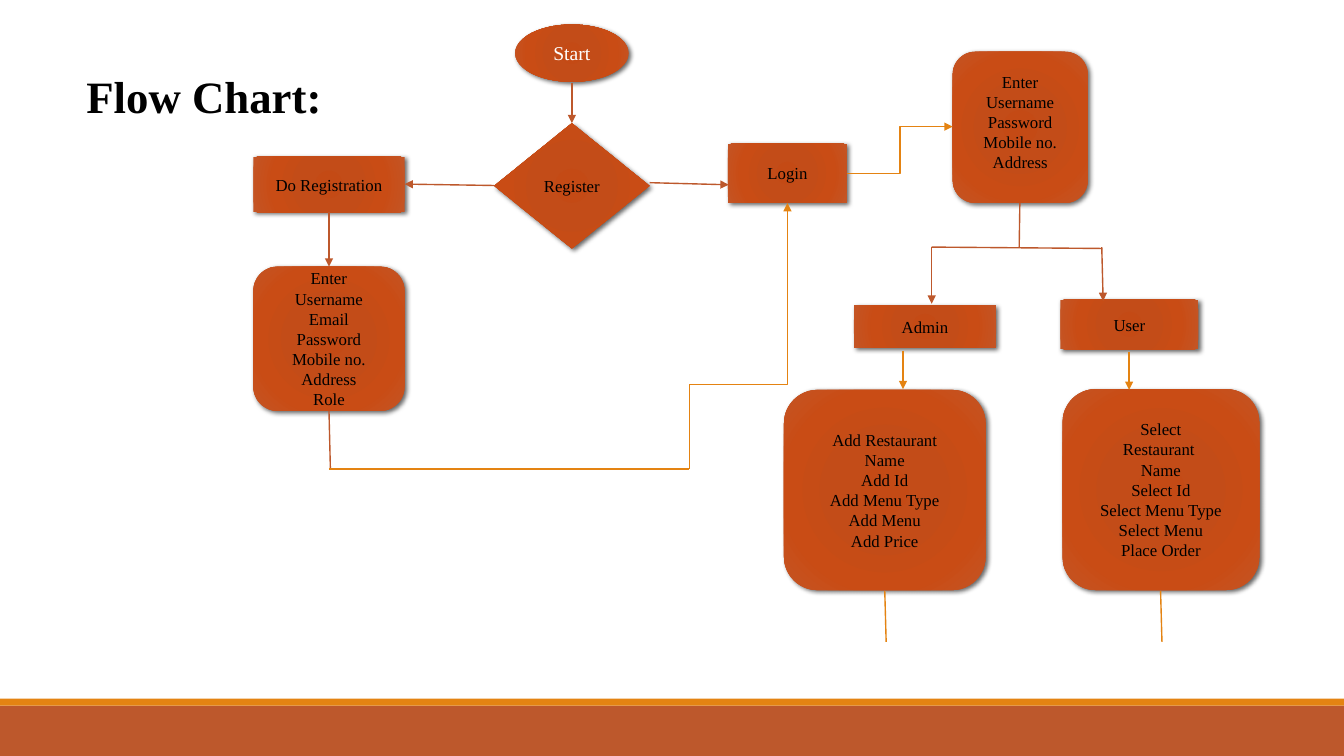
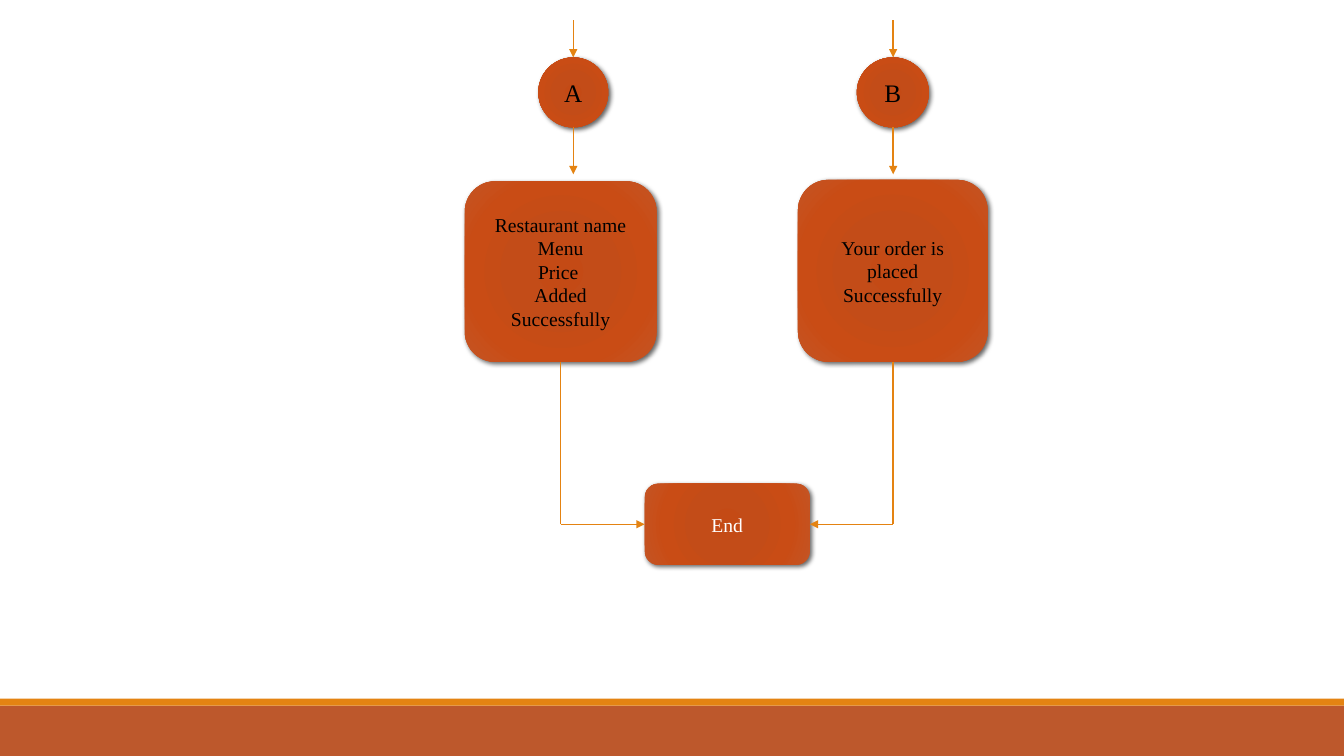
from itertools import pairwise

from pptx import Presentation
from pptx.dml.color import RGBColor
from pptx.enum.shapes import MSO_CONNECTOR, MSO_SHAPE
from pptx.enum.text import MSO_ANCHOR, PP_ALIGN
from pptx.oxml import parse_xml
from pptx.oxml.ns import nsdecls, qn
from pptx.util import Pt

RECT = MSO_SHAPE.RECTANGLE
ROUND = MSO_SHAPE.ROUNDED_RECTANGLE
ELLIPSE = MSO_SHAPE.OVAL
DIAMOND = MSO_SHAPE.DIAMOND
STRAIGHT = MSO_CONNECTOR.STRAIGHT
ELBOW = MSO_CONNECTOR.ELBOW
MIDDLE = MSO_ANCHOR.MIDDLE
TOP = MSO_ANCHOR.TOP
CENTER = PP_ALIGN.CENTER
LEFT = PP_ALIGN.LEFT

FONT = "Times New Roman"
BLACK, WHITE = "000000", "FFFFFF"
RUST, ORANGE = "BD582C", "E48312"
GRADIENT = [(0, "C44A15"), (34, "C34C18"), (70, "C94C15"), (100, "C45525")]
WIDTH, HEIGHT = 960, 540


def rgb(value):
    return RGBColor.from_string(value)


def set_font(p, size, color, align, bold=False):
    p.alignment = align
    p.font.name = FONT
    p.font.size = Pt(size)
    p.font.bold = bold
    p.font.color.rgb = rgb(color)


def add_bands(prs, s):
    tree = prs.slide_master.shapes.element
    bands = [(499, 5, ORANGE), (504, 36, RUST)]
    for number, (top, height, color) in enumerate(bands, 101):
        sp = s.shapes.add_shape(RECT, 0, Pt(top), Pt(WIDTH), Pt(height))
        sp.shadow.inherit = False
        sp.fill.solid()
        sp.fill.fore_color.rgb = rgb(color)
        sp.line.fill.background()
        sp.element.nvSpPr.cNvPr.set("id", str(number))
        tree.insert(2, sp.element)


def add_title(s, text, left, top, width, height):
    title = s.shapes.title
    title.left, title.top = Pt(left), Pt(top)
    title.width, title.height = Pt(width), Pt(height)
    tf = title.text_frame
    tf.text = text
    tf.word_wrap = False
    tf.vertical_anchor = TOP
    set_font(tf.paragraphs[0], 32, BLACK, LEFT, bold=True)


def style_node(sp):
    sp.line.fill.background()
    sp.shadow.inherit = False
    spPr = sp.element.spPr
    stops = "".join(
        f'<a:gs pos="{pos * 1000}"><a:srgbClr val="{color}"/></a:gs>'
        for pos, color in GRADIENT
    )
    spPr.find(qn("a:prstGeom")).addnext(parse_xml(
        f'<a:gradFill {nsdecls("a")} rotWithShape="1"><a:gsLst>{stops}</a:gsLst>'
        '<a:path path="circle"><a:fillToRect l="100000" t="100000" '
        'r="100000" b="100000"/></a:path></a:gradFill>'
    ))
    spPr.find(qn("a:effectLst")).append(parse_xml(
        f'<a:outerShdw {nsdecls("a")} blurRad="{Pt(3.5)}" dist="{Pt(2)}" '
        'dir="2700000" algn="tl" rotWithShape="0">'
        f'<a:srgbClr val="{BLACK}"><a:alpha val="60000"/></a:srgbClr></a:outerShdw>'
    ))


def add_node(s, kind, box, text, size=12, color=BLACK):
    sp = s.shapes.add_shape(kind, *map(Pt, box))
    style_node(sp)
    tf = sp.text_frame
    tf.word_wrap = True
    tf.vertical_anchor = MIDDLE
    tf.text = text
    for p in tf.paragraphs:
        set_font(p, size, color, CENTER)
    return sp


def add_line(s, kind, start, end, color, arrow):
    line = s.shapes.add_connector(kind, *map(Pt, (*start, *end)))
    line.line.color.rgb = rgb(color)
    line.line.width = Pt(1)
    spPr = line.element.spPr
    if arrow:
        spPr.find(qn("a:ln")).append(
            parse_xml(f'<a:tailEnd {nsdecls("a")} type="triangle"/>'))
    spPr.append(parse_xml(f'<a:effectLst {nsdecls("a")}/>'))
    return line


def add_route(s, color, *points, arrow=True):
    segments = list(pairwise(points))
    for i, (start, end) in enumerate(segments, 1):
        add_line(s, STRAIGHT, start, end, color, arrow and i == len(segments))


def add_vertical_elbow(s, start, end, color):
    (x1, y1), (x2, y2) = start, end
    cx, cy = (x1 + x2) / 2, (y1 + y2) / 2
    dx, dy = (x1 - x2) / 2, (y1 - y2) / 2
    line = add_line(s, ELBOW, (cx + dy, cy - dx), (cx - dy, cy + dx), color, False)
    line.element.spPr.find(qn("a:xfrm")).set("rot", "5400000")


def build_flow_start(s):
    add_title(s, "Flow Chart:", 54.5, 45.5, 184.5, 46)
    add_node(s, ELLIPSE, (368, 17.5, 81, 41), "Start", 14, WHITE)
    credentials = add_node(s, ROUND, (680.5, 37, 96.5, 108),
                           "Enter\nUsername\nPassword\nMobile no.\nAddress")
    credentials.text_frame.margin_bottom = Pt(11.5)
    nodes = [
        (DIAMOND, (353, 88, 111, 89.5), "Register"),
        (RECT, (520, 102.5, 85, 42.5), "Login"),
        (RECT, (181, 112, 108, 39.5), "Do Registration"),
        (ROUND, (181, 190.5, 108, 103),
         "Enter\nUsername\nEmail\nPassword\nMobile no.\nAddress\nRole"),
        (RECT, (610, 218, 101.5, 30.5), "Admin"),
        (RECT, (757.5, 214, 98.5, 35.5), "User"),
        (ROUND, (560, 278.5, 144, 143),
         "Add Restaurant\nName\nAdd Id\nAdd Menu Type\nAdd Menu\nAdd Price"),
        (ROUND, (759, 278, 140.5, 143.5),
         "Select\nRestaurant \nName\nSelect Id\nSelect Menu Type\n"
         "Select Menu\nPlace Order"),
    ]
    for kind, box, text in nodes:
        add_node(s, kind, box, text)

    add_route(s, RUST, (408.5, 59), (408.5, 88))
    add_route(s, RUST, (464, 130.5), (520.5, 132))
    add_route(s, RUST, (353, 132.5), (289, 131.5))
    add_route(s, RUST, (235, 151.5), (235, 190.5))
    add_route(s, RUST, (235, 293.5), (236, 335), arrow=False)
    add_route(s, RUST, (728.5, 145), (728, 177), arrow=False)
    add_route(s, RUST, (787.5, 177.5), (665.5, 176.5), (665.5, 217))
    add_route(s, RUST, (787, 176.5), (788, 215))

    add_line(s, ELBOW, (605, 124), (680.5, 90.5), ORANGE, True)
    add_route(s, ORANGE, (235, 335), (492.5, 335), arrow=False)
    add_vertical_elbow(s, (492.5, 335), (562.5, 214), ORANGE)
    add_route(s, ORANGE, (562.5, 214), (562.5, 145))
    add_route(s, ORANGE, (645, 250.5), (645, 278))
    add_route(s, ORANGE, (806.5, 251.5), (806.5, 278.5))
    for x in (632, 829):
        add_route(s, ORANGE, (x, 422), (x + 1, 458.5), arrow=False)


def build_flow_end(s):
    add_node(s, ROUND, (332, 129.5, 137, 129),
             "Restaurant name\nMenu\nPrice \nAdded Successfully", 14)
    add_node(s, ROUND, (570, 128.5, 135.5, 130),
             "Your order is placed Successfully", 14)
    add_node(s, ELLIPSE, (384.5, 41, 50, 50), "A", 18)
    add_node(s, ELLIPSE, (612, 41, 51.5, 50), "B", 18)
    add_node(s, ROUND, (460.5, 345.5, 118, 58), "End", 14, WHITE)
    for x in (409.5, 638):
        add_route(s, ORANGE, (x, 14.5), (x, 41))
        add_route(s, ORANGE, (x, 91), (x, 124.5))
    for x, end_x in ((400.5, 460.5), (638, 578.5)):
        add_route(s, ORANGE, (x, 258.5), (x, 374.5), (end_x, 374.5))


def main():
    prs = Presentation()
    prs.slide_width, prs.slide_height = Pt(WIDTH), Pt(HEIGHT)
    title_only, blank = prs.slide_layouts[5], prs.slide_layouts[6]
    first = prs.slides.add_slide(title_only)
    add_bands(prs, first)
    build_flow_start(first)
    build_flow_end(prs.slides.add_slide(blank))
    prs.save("out.pptx")


if __name__ == "__main__":
    main()
